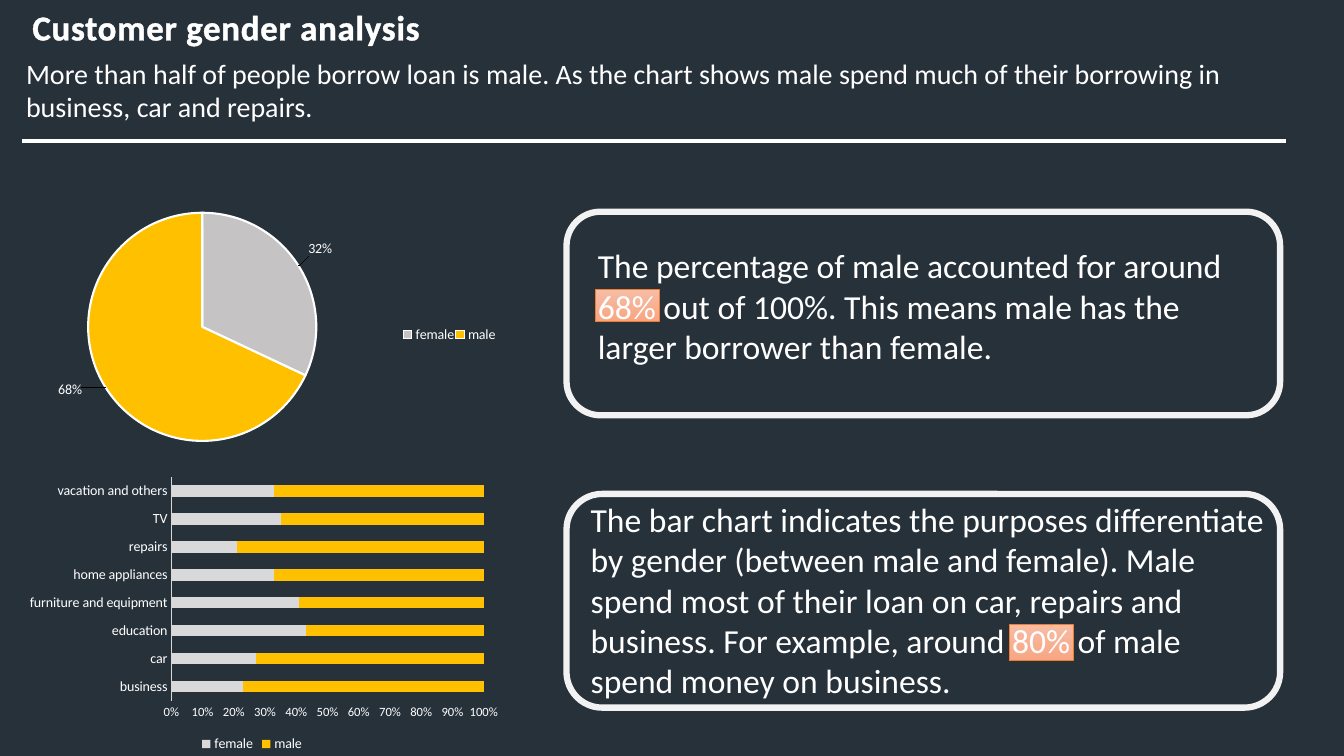
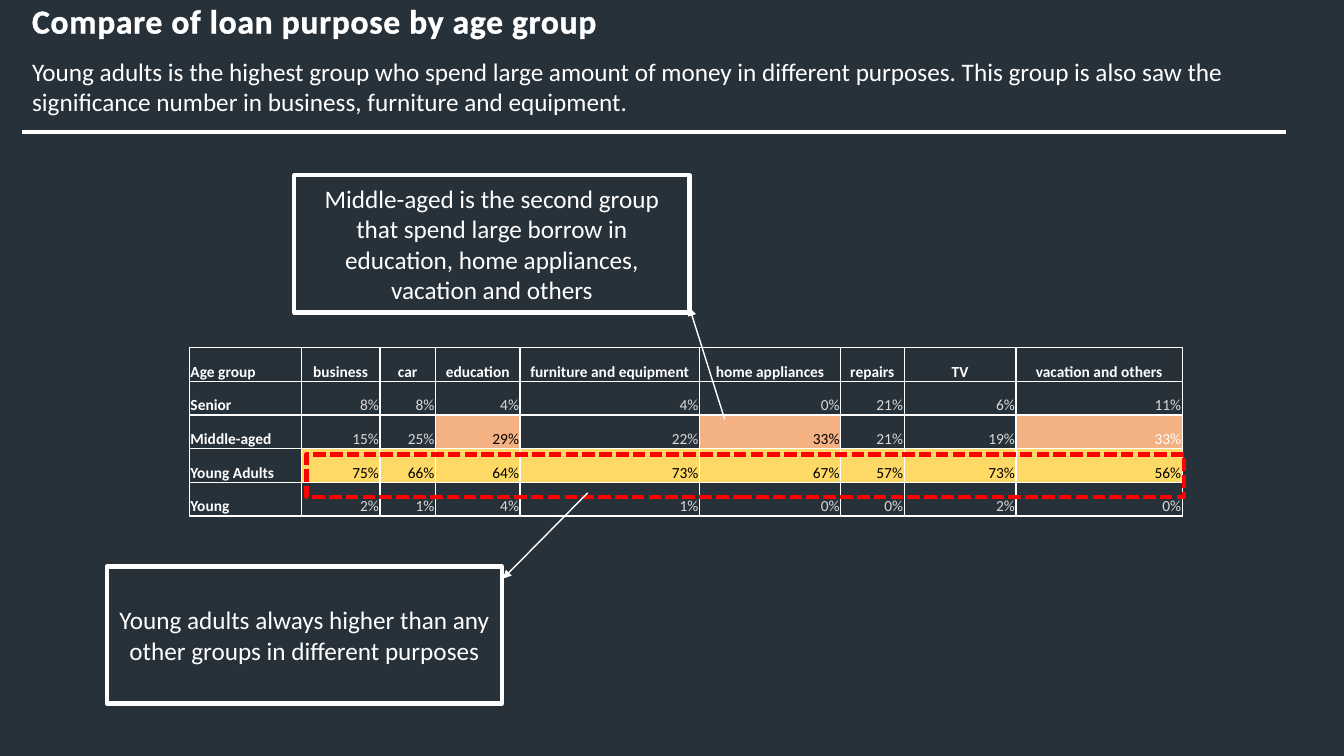
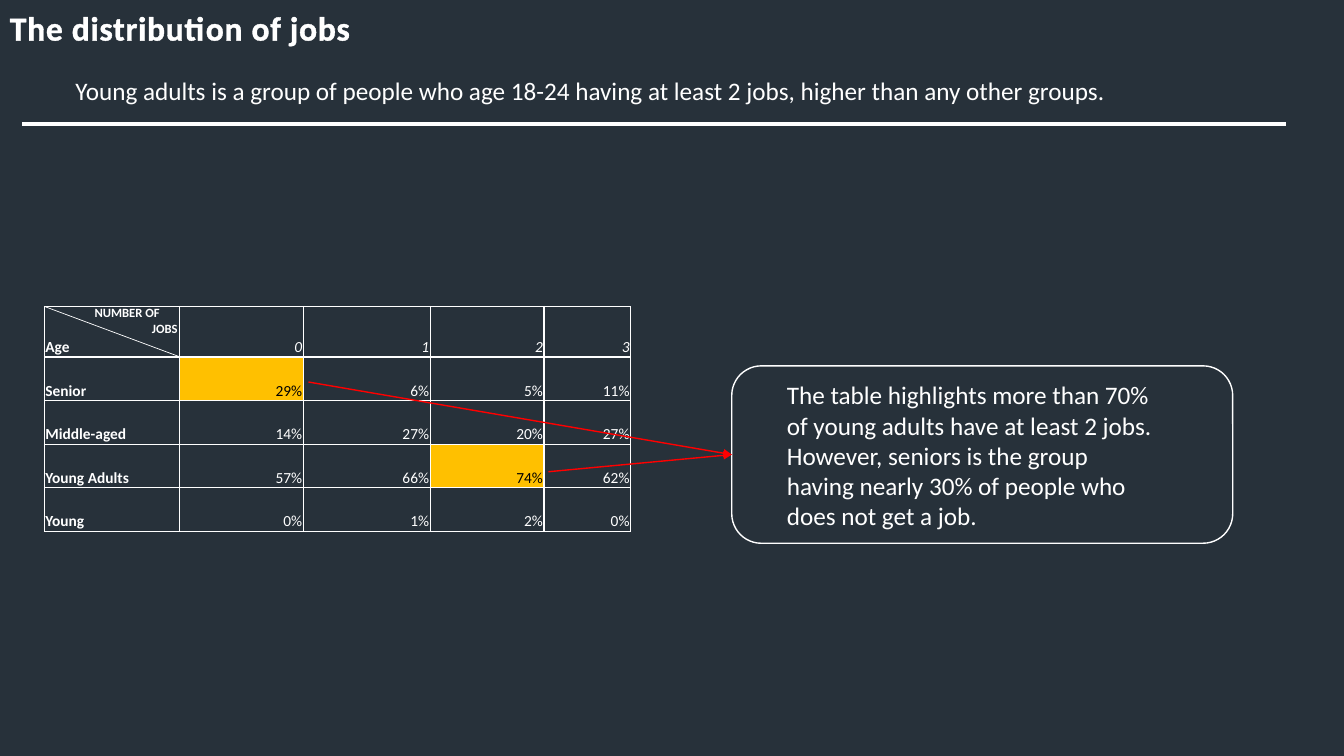
from dataclasses import dataclass

from pptx import Presentation
from pptx.chart.data import CategoryChartData as ChartData
from pptx.dml.color import RGBColor as Rgb
from pptx.enum.chart import XL_CHART_TYPE as ChartType
from pptx.enum.chart import XL_LABEL_POSITION as LabelAt
from pptx.enum.chart import XL_LEGEND_POSITION as LegendAt
from pptx.enum.chart import XL_TICK_MARK as Tick
from pptx.enum.dml import MSO_LINE as Dash
from pptx.enum.shapes import MSO_CONNECTOR as Connector
from pptx.enum.shapes import MSO_SHAPE as Preset
from pptx.enum.text import MSO_ANCHOR as Anchor
from pptx.enum.text import PP_ALIGN as Align
from pptx.oxml import parse_xml
from pptx.oxml.ns import nsdecls, qn
from pptx.util import Inches, Pt

CELL = Inches(1) // 6  # square grid cell
COLUMNS, ROWS = 80, 45


@dataclass(frozen=True)
class Theme:
    font: str = "Calibri"
    page: str = "27313A"
    white: str = "FFFFFF"
    black: str = "000000"
    frame: str = "F2F2F2"
    grey: str = "D9D9D9"
    female: str = "C5C3C3"
    gold: str = "FFC000"
    yellow: str = "FFD966"
    peach: str = "F4B183"
    glow_top: str = "F7BDA5"
    glow_bottom: str = "F8A582"
    orange: str = "ED7D31"
    red: str = "FF0000"
    title_shadow: str = "4472C4"
    title_size: float = 24
    statement_size: float = 24
    body_size: float = 18
    table_size: float = 11
    chart_size: float = 10
    small_size: float = 9


THEME = Theme()


@dataclass(frozen=True)
class Box:
    """Left, top, width and height in grid cells."""
    left: float
    top: float
    width: float
    height: float

    def inner(self, x, y, width, height):
        """Inner box given as shares of this one."""
        return Box(self.left + x * self.width, self.top + y * self.height,
                   width * self.width, height * self.height)

    def emu(self):
        return [round(side * CELL) for side in
                (self.left, self.top, self.width, self.height)]


def color(code):
    return Rgb.from_string(code)


def style_font(font, size, code=THEME.white, bold=False, italic=False):
    font.name, font.size = THEME.font, Pt(size)
    font.bold, font.italic = bold, italic
    font.color.rgb = color(code)


def style_line(line, code, width):
    line.color.rgb = color(code)
    line.width = Pt(width)


def write(frame, text, size, align=Align.LEFT, anchor=Anchor.TOP, bold=False):
    frame.word_wrap = True
    frame.vertical_anchor = anchor
    frame.text = text
    for paragraph in frame.paragraphs:
        paragraph.alignment = align
        for run in paragraph.runs:
            style_font(run.font, size, bold=bold)


def add_text(slide, box, text, size, **style):
    frame = slide.shapes.add_textbox(*box.emu()).text_frame
    write(frame, text, size, **style)
    return frame


def add_outline(slide, preset, box, code, width):
    outline = slide.shapes.add_shape(preset, *box.emu())
    outline.shadow.inherit = False
    outline.fill.background()
    style_line(outline.line, code, width)
    return outline


def add_line(slide, start, end, code=THEME.white, width=1, arrow=False):
    ends = [round(value * CELL) for value in (*start, *end)]
    line = slide.shapes.add_connector(Connector.STRAIGHT, *ends)
    style_line(line.line, code, width)
    properties = line._element.spPr
    if arrow:
        properties.find(qn("a:ln")).append(
            parse_xml(f'<a:tailEnd {nsdecls("a")} type="triangle"/>'))
    properties.append(parse_xml(f'<a:effectLst {nsdecls("a")}/>'))


# Shared header: title, summary and rule
def add_header(slide, title, title_box, summary, summary_box, rule_row,
               align=Align.CENTER, title_size=THEME.title_size,
               summary_size=THEME.body_size):
    frame = add_text(slide, title_box, title, title_size, align=align,
                     anchor=Anchor.MIDDLE, bold=True)
    frame.word_wrap = False
    heading = frame.paragraphs[0]
    heading.line_spacing = 0.9
    run_style = heading.runs[0].font._element
    run_style.set("spc", "50")
    run_style.insert(0, parse_xml(
        f'<a:ln {nsdecls("a")} w="9525"><a:solidFill>'
        f'<a:srgbClr val="{THEME.white}"/></a:solidFill></a:ln>'))
    run_style.find(qn("a:solidFill")).addnext(parse_xml(
        f'<a:effectLst {nsdecls("a")}><a:outerShdw dist="38100" dir="2700000">'
        f'<a:srgbClr val="{THEME.title_shadow}"/></a:outerShdw></a:effectLst>'))
    add_text(slide, summary_box, summary, summary_size)
    add_line(slide, (1.32, rule_row), (76.56, rule_row), width=2.5)


# Rounded card with a statement and an optional marked figure
def add_card(slide, box, text, text_share, size, code, width, mark_share=None):
    if mark_share:
        mark = slide.shapes.add_shape(Preset.RECTANGLE,
                                      *box.inner(*mark_share).emu())
        mark.shadow.inherit = False
        mark.fill.gradient()
        mark.fill.gradient_angle = 270
        for stop, shade in zip(mark.fill.gradient_stops,
                               (THEME.glow_top, THEME.glow_bottom)):
            stop.color.rgb = color(shade)
        style_line(mark.line, THEME.orange, 0.5)
    add_outline(slide, Preset.ROUNDED_RECTANGLE, box, code, width)
    add_text(slide, box.inner(*text_share), text, size)


def add_callout(slide, box, text):
    callout = add_outline(slide, Preset.RECTANGLE, box, THEME.white, 3)
    write(callout.text_frame, text, THEME.body_size, align=Align.CENTER,
          anchor=Anchor.MIDDLE)


# Charts
def manual_layout(x, y, width=None, height=None, inner=False):
    target = '<c:layoutTarget val="inner"/>' if inner else ""
    modes = sizes = ""
    if width:
        modes = '<c:xMode val="edge"/><c:yMode val="edge"/>'
        sizes = f'<c:w val="{width}"/><c:h val="{height}"/>'
    return parse_xml(
        f'<c:layout {nsdecls("c")}><c:manualLayout>{target}{modes}'
        f'<c:x val="{x}"/><c:y val="{y}"/>{sizes}</c:manualLayout></c:layout>')


def add_chart(slide, box, kind, categories, series, plot_share,
              number_format="General"):
    data = ChartData(number_format=number_format)
    data.categories = categories
    for name, values in series:
        data.add_series(name, values)
    chart = slide.shapes.add_chart(kind, *box.emu(), data).chart
    chart.has_title = False
    style_font(chart.font, THEME.chart_size)
    chart.has_legend = True
    chart.legend.position = LegendAt.BOTTOM
    chart.legend.include_in_layout = False
    style_font(chart.legend.font, THEME.chart_size)
    plot_area = chart._chartSpace.chart.plotArea
    for layout in plot_area.findall(qn("c:layout")):
        plot_area.remove(layout)
    plot_area.insert(0, manual_layout(*plot_share, inner=True))
    return chart


def add_gender_pie(slide, box):
    chart = add_chart(slide, box, ChartType.PIE, ("female", "male"),
                      [("Series 1", (0.32, 0.68))], (0.09, 0.06, 0.48, 0.79),
                      number_format="0%")
    chart.legend.position = LegendAt.RIGHT
    chart.legend._element.insert(1, manual_layout(0.75, 0.36, 0.2, 0.24))
    pie = chart.plots[0]
    pie.vary_by_categories = True
    label_shifts = ((0.01, -0.02), (-0.04, -0.03))
    for index, shade in enumerate((THEME.female, THEME.gold)):
        point = pie.series[0].points[index]
        point.format.fill.solid()
        point.format.fill.fore_color.rgb = color(shade)
        style_line(point.format.line, THEME.white, 1.5)
        label = point.data_label
        style_font(label.font, THEME.chart_size)
        label.position = LabelAt.OUTSIDE_END
        label._dLbl.insert(1, manual_layout(*label_shifts[index]))


def add_purpose_bars(slide, box):
    purposes = ("business", "car", "education", "furniture and equipment",
                "home appliances", "repairs", "TV", "vacation and others")
    female = (23, 27, 43, 41, 33, 21, 35, 33)
    male = (77, 73, 57, 59, 67, 79, 65, 67)
    chart = add_chart(slide, box, ChartType.BAR_STACKED_100, purposes,
                      [("female", female), ("male", male)],
                      (0.34, 0.09, 0.62, 0.73))
    bars = chart.plots[0]
    bars.vary_by_categories = False
    bars.gap_width, bars.overlap = 150, 100
    for gender, shade in zip(bars.series, (THEME.grey, THEME.gold)):
        gender.format.fill.solid()
        gender.format.fill.fore_color.rgb = color(shade)
    for axis, size in ((chart.category_axis, THEME.chart_size),
                       (chart.value_axis, THEME.small_size)):
        axis.has_major_gridlines = False
        axis.major_tick_mark = axis.minor_tick_mark = Tick.NONE
        style_font(axis.tick_labels.font, size)
    style_line(chart.category_axis.format.line, THEME.grey, 0.75)
    chart.value_axis.format.line.fill.background()
    chart.value_axis.tick_labels.number_format = "0%"
    chart.value_axis.tick_labels.number_format_is_linked = False


# Tables: marked maps (row, column) to fill and text colour
def add_table(slide, box, rows, widths, heights, marked, value_color,
              head_style):
    left, top, width, height = box.emu()
    table = slide.shapes.add_table(len(rows), len(widths), left, top,
                                   width, height).table
    table.first_row = table.horz_banding = False
    for column, share in zip(table.columns, widths):
        column.width = round(width * share / sum(widths))
    for row, share in zip(table.rows, heights):
        row.height = round(height * share / sum(heights))
    for r, texts in enumerate(rows):
        for c, text in enumerate(texts):
            plain = THEME.white if r == 0 or c == 0 else value_color
            fill, ink = marked.get((r, c), (THEME.page, plain))
            align, style = Align.RIGHT, {}
            if c == 0:
                align, style = Align.LEFT, {"bold": True}
            elif r == 0:
                align, style = head_style
            fill_cell(table.cell(r, c), text, fill, ink, align, style)


def fill_cell(cell, text, fill, ink, align, style):
    cell.margin_left = cell.margin_right = cell.margin_top = Inches(0.01)
    cell.margin_bottom = 0
    cell.vertical_anchor = Anchor.BOTTOM
    cell.fill.solid()
    cell.fill.fore_color.rgb = color(fill)
    cell.text = text
    paragraph = cell.text_frame.paragraphs[0]
    paragraph.alignment = align
    style_font(paragraph.runs[0].font, THEME.table_size, ink, **style)
    for index, side in enumerate(("lnL", "lnR", "lnT", "lnB")):
        cell._tc.tcPr.insert(index, parse_xml(
            f'<a:{side} {nsdecls("a")} w="12700"><a:solidFill>'
            f'<a:srgbClr val="{THEME.white}"/></a:solidFill></a:{side}>'))


# Slides
def build_gender(slide):
    add_header(
        slide, "Customer gender analysis", Box(0, 0.2, 26.94, 3.06),
        "More than half of people borrow loan is male. As the chart shows male "
        "spend much of their borrowing in business, car and repairs.",
        Box(0.96, 3.06, 76.6, 4.6), 8.4, title_size=25, summary_size=20)
    add_gender_pie(slide, Box(2.7, 11.16, 28.3, 18.24))
    add_purpose_bars(slide, Box(0, 26.76, 30, 18.24))
    add_card(
        slide, Box(33.72, 12.6, 42.48, 12.12),
        "The percentage of male accounted for around 68% out of 100%. This "
        "means male has the larger borrower than female.",
        (0.03, 0.14, 0.94, 0.65), THEME.statement_size, THEME.frame, 4.5,
        mark_share=(0.04, 0.38, 0.09, 0.16))
    add_card(
        slide, Box(33.72, 29.4, 42.48, 12.72),
        "The bar chart indicates the purposes differentiate by gender (between "
        "male and female). Male spend most of their loan on car, repairs and "
        "business. For example, around 80% of male spend money on business.",
        (0.02, 0, 0.98, 1), THEME.statement_size, THEME.frame, 4.5,
        mark_share=(0.62, 0.61, 0.09, 0.17))


def build_age(slide):
    rows = (
        ("Age group", "business", "car", "education", "furniture and equipment",
         "home appliances", "repairs", "TV", "vacation and others"),
        ("Senior", "8%", "8%", "4%", "4%", "0%", "21%", "6%", "11%"),
        ("Middle-aged", "15%", "25%", "29%", "22%", "33%", "21%", "19%", "33%"),
        ("Young Adults", "75%", "66%", "64%", "73%", "67%", "57%", "73%", "56%"),
        ("Young", "2%", "1%", "4%", "1%", "0%", "0%", "2%", "0%"))
    marked = {(3, c): (THEME.yellow, THEME.black) for c in range(1, 9)}
    marked |= {(2, c): (THEME.peach, THEME.black) for c in (3, 5)}
    marked[2, 8] = (THEME.peach, THEME.white)
    add_table(slide, Box(11.28, 20.7, 59.1, 10.02), rows,
              (1.11, 0.78, 0.55, 0.84, 1.78, 1.4, 0.63, 1.11, 1.65), (1,) * 5,
              marked, THEME.grey, (Align.CENTER, {"bold": True}))
    add_header(
        slide, "Compare of loan purpose by age group",
        Box(-0.2, -0.36, 37.86, 3.42),
        "Young adults is the highest group who spend large amount of money in "
        "different purposes. This group is also saw the significance number in "
        "business, furniture and equipment.",
        Box(1.32, 3.06, 75.54, 4.26), 7.86)
    focus = add_outline(slide, Preset.RECTANGLE,
                        Box(18.24, 27.06, 52.26, 2.52), THEME.red, 3)
    focus.line.dash_style = Dash.SQUARE_DOT
    add_line(slide, (34.98, 29.34), (29.94, 34.44), arrow=True)
    add_callout(slide, Box(6.36, 33.72, 23.52, 8.16),
                "Young adults always higher than any other groups in different "
                "purposes")
    add_callout(slide, Box(17.52, 10.44, 23.52, 8.16),
                "Middle-aged is the second group that spend large borrow in "
                "education, home appliances, vacation and others")
    add_line(slide, (43.14, 24.96), (41.04, 18.3), arrow=True)


def build_jobs(slide):
    rows = (("Age", "0", "1", "2", "3"),
            ("Senior", "29%", "6%", "5%", "11%"),
            ("Middle-aged", "14%", "27%", "20%", "27%"),
            ("Young Adults", "57%", "66%", "74%", "62%"),
            ("Young", "0%", "1%", "2%", "0%"))
    marked = {spot: (THEME.gold, THEME.black) for spot in ((1, 1), (3, 3))}
    add_table(slide, Box(2.64, 18.24, 34.9, 13.38), rows,
              (1.34, 1.23, 1.26, 1.13, 0.86), (0.5, 0.43, 0.43, 0.43, 0.43),
              marked, THEME.white, (Align.RIGHT, {"italic": True}))
    # Split corner cell
    add_line(slide, (2.64, 18.24), (10.7, 21.24), width=0.5)
    corner = add_text(slide, Box(5.04, 17.88, 6.12, 2.4), "NUMBER OF\nJOBS",
                      THEME.small_size, bold=True)
    corner.paragraphs[1].alignment = Align.RIGHT
    add_card(
        slide, Box(43.56, 21.78, 29.82, 10.56),
        "The table highlights more than 70% of young adults have at least 2 "
        "jobs. However, seniors is the group having nearly 30% of people who "
        "does not get a job.",
        (0.09, 0.05, 0.78, 0.92), THEME.body_size, THEME.white, 1)
    for start in ((32.64, 28.08), (18.36, 22.74)):
        add_line(slide, start, (43.56, 27.06), THEME.red, arrow=True)
    add_header(
        slide, "The distribution of jobs", Box(0, 0.06, 39.42, 3.42),
        "Young adults is a group of people who age 18-24 having at least 2 "
        "jobs, higher than any other groups.",
        Box(3.9, 4.2, 75.54, 2.4), 7.38, align=Align.LEFT)


def main():
    deck = Presentation()
    deck.slide_width, deck.slide_height = COLUMNS * CELL, ROWS * CELL
    for build in (build_gender, build_age, build_jobs):
        slide = deck.slides.add_slide(deck.slide_layouts[6])
        slide.background.fill.solid()
        slide.background.fill.fore_color.rgb = color(THEME.page)
        build(slide)
    deck.save("out.pptx")


if __name__ == "__main__":
    main()
